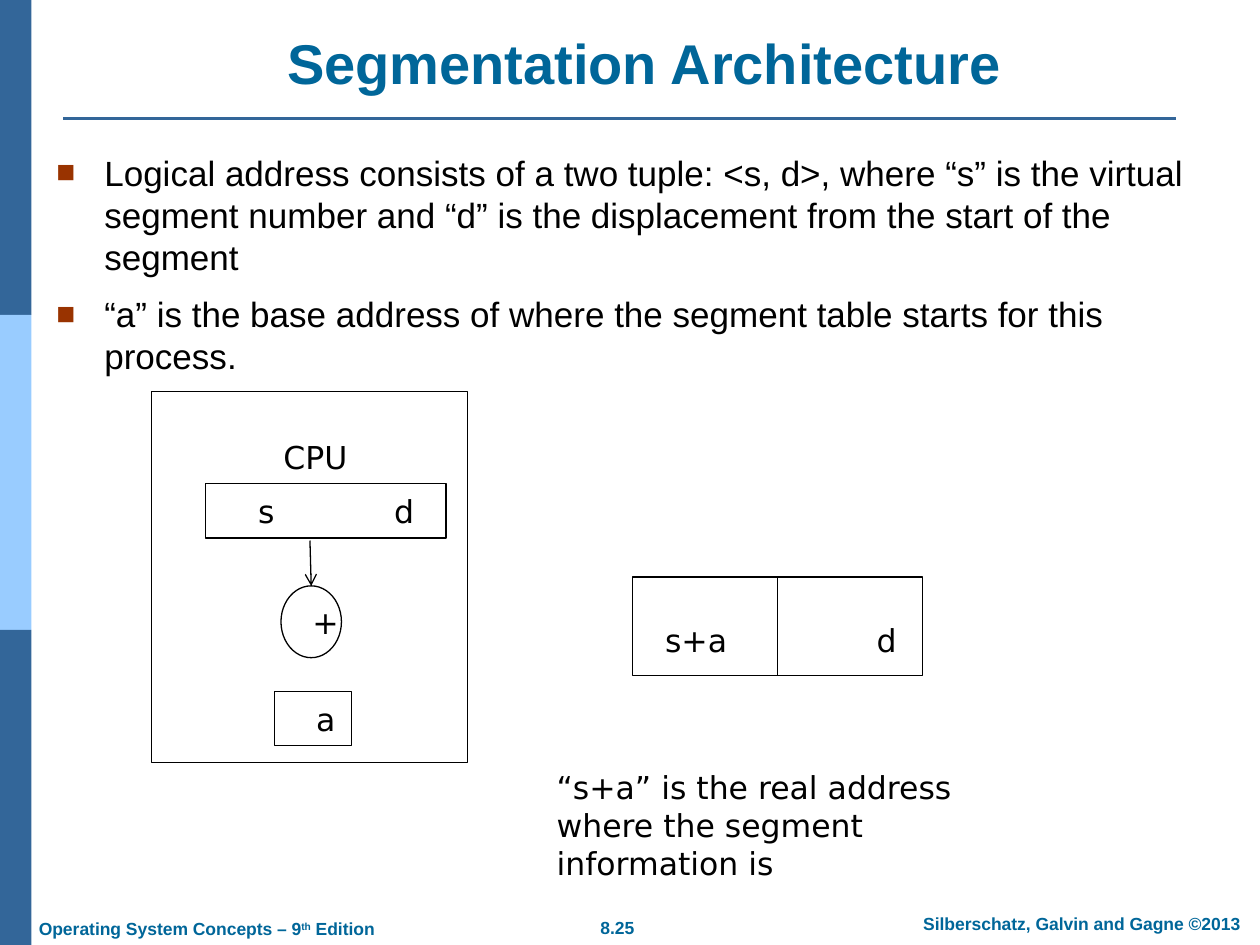
import pptx
import pptx.util
import pptx.dml.color
import pptx.enum.shapes
import pptx.enum.text
import pptx.oxml.ns
from dataclasses import dataclass
from lxml import etree
from pptx.util import Inches

SHAPE = pptx.enum.shapes.MSO_SHAPE
ALIGN = pptx.enum.text.PP_ALIGN
ANCHOR = pptx.enum.text.MSO_ANCHOR
qn = pptx.oxml.ns.qn


@dataclass(frozen=True)
class Theme:
    """Colours, fonts and type sizes of the slide."""
    heading: str = "006699"
    bar: str = "336699"
    bar_light: str = "99CCFF"
    bullet: str = "993300"
    ink: str = "000000"
    paper: str = "FFFFFF"
    sans: str = "Arial"
    diagram: str = "DejaVu Sans"
    title_size: int = 32
    body_size: int = 20
    diagram_size: int = 18
    footer_size: int = 10


T = Theme()


def rgb(color):
    """Turn a hex string into a colour."""
    return pptx.dml.color.RGBColor.from_string(color)


def add_run(p, text, size, font, color, bold=False):
    """Add one styled run to a paragraph."""
    r = p.add_run()
    r.text = text
    r.font.size = pptx.util.Pt(size)
    r.font.name = font
    r.font.bold = bold
    r.font.color.rgb = rgb(color)
    return r


def add_box(s, x, y, w, h, anchor=ANCHOR.TOP):
    """Add an empty text box and return its text frame."""
    tf = s.shapes.add_textbox(Inches(x), Inches(y), Inches(w), Inches(h)).text_frame
    tf.word_wrap = True
    tf.vertical_anchor = anchor
    return tf


def add_shape(s, kind, x, y, w, h, fill, line=None):
    """Add a preset shape with a plain fill and an optional thin outline."""
    sp = s.shapes.add_shape(kind, Inches(x), Inches(y), Inches(w), Inches(h))
    sp.shadow.inherit = False
    sp.fill.solid()
    sp.fill.fore_color.rgb = rgb(fill)
    if line:
        sp.line.color.rgb = rgb(line)
        sp.line.width = pptx.util.Pt(0.75)
    else:
        sp.line.fill.background()
    return sp


def add_node(s, kind, x, y, w, h, text="", indent=0, tabs=(), inset=0.1, top=0.05):
    """Add an outlined diagram node with left-aligned text."""
    sp = add_shape(s, kind, x, y, w, h, T.paper, T.ink)
    if not text:
        return
    tf = sp.text_frame
    tf.word_wrap = True
    tf.vertical_anchor = ANCHOR.MIDDLE
    tf.margin_left = tf.margin_right = Inches(inset)
    tf.margin_top = Inches(top)
    p = tf.paragraphs[0]
    p.alignment = ALIGN.LEFT
    pPr = p._p.get_or_add_pPr()
    pPr.set("marL", str(Inches(indent)))
    if tabs:
        tab_list = etree.SubElement(pPr, qn("a:tabLst"))
        for pos in tabs:
            etree.SubElement(tab_list, qn("a:tab"), pos=str(Inches(pos)), algn="l")
    add_run(p, text, T.diagram_size, T.diagram, T.ink)


def add_line(s, x1, y1, x2, y2, color, width, arrow=False):
    """Add a straight line, with an open arrowhead at its end if asked."""
    sp = s.shapes.add_connector(pptx.enum.shapes.MSO_CONNECTOR.STRAIGHT,
                                Inches(x1), Inches(y1), Inches(x2), Inches(y2))
    sp.line.color.rgb = rgb(color)
    sp.line.width = pptx.util.Pt(width)
    if arrow:
        etree.SubElement(sp.line._get_or_add_ln(), qn("a:tailEnd"), type="arrow")
    etree.SubElement(sp._element.spPr, qn("a:effectLst"))


def add_bullets(s, x, y, w, h, items):
    """Add a list with square bullets."""
    tf = add_box(s, x, y, w, h)
    for i, text in enumerate(items):
        p = tf.add_paragraph() if i else tf.paragraphs[0]
        if i:
            p.space_before = pptx.util.Pt(8.8)
        pPr = p._p.get_or_add_pPr()
        pPr.set("marL", str(Inches(0.38)))
        pPr.set("indent", str(Inches(-0.38)))
        etree.SubElement(etree.SubElement(pPr, qn("a:buClr")), qn("a:srgbClr"), val=T.bullet)
        etree.SubElement(pPr, qn("a:buSzPct"), val="90000")
        etree.SubElement(pPr, qn("a:buFont"), typeface=T.sans)
        etree.SubElement(pPr, qn("a:buChar"), char="■")
        add_run(p, text, T.body_size, T.sans, T.ink)


def add_label(s, x, y, w, h, text):
    """Add a diagram label."""
    add_run(add_box(s, x, y, w, h).paragraphs[0], text, T.diagram_size, T.diagram, T.ink)


def add_footer(s, x, y, w, parts, align=ALIGN.CENTER):
    """Add a footer from (text, superscript) parts."""
    p = add_box(s, x, y, w, 0.27).paragraphs[0]
    p.alignment = align
    for text, raised in parts:
        r = add_run(p, text, T.footer_size, T.sans, T.heading, True)
        if raised:
            r._r.get_or_add_rPr().set("baseline", "30000")


def add_frame(s):
    """Add the side bar, title, rule and footers."""
    for i, color in enumerate((T.bar, T.bar_light, T.bar)):
        add_shape(s, SHAPE.RECTANGLE, 0, 2.5 * i, 0.25, 2.5, color)
    add_line(s, 0.5, 0.94, 9.33, 0.94, T.bar, 1.5)
    p = add_box(s, 0.85, 0.18, 8.65, 0.63, ANCHOR.BOTTOM).paragraphs[0]
    p.alignment = ALIGN.CENTER
    add_run(p, "Segmentation Architecture ", T.title_size, T.sans, T.heading, True)
    add_footer(s, 4.41, 7.23, 0.98, [("8.25", False)])
    add_footer(s, 7.1, 7.2, 2.97, [("Silberschatz, Galvin and Gagne ©2013", False)])
    add_footer(s, 0.21, 7.24, 3.1, [("Operating System Concepts – 9", False), ("th", True),
                                    (" Edition", False)], ALIGN.LEFT)


def add_cpu(s):
    """Add the CPU diagram."""
    add_node(s, SHAPE.RECTANGLE, 1.2, 3.11, 2.51, 2.94)
    add_label(s, 2.15, 3.43, 0.99, 0.4, "CPU")
    add_node(s, SHAPE.RECTANGLE, 1.63, 3.84, 1.91, 0.43, "\ts\td", tabs=(0.32, 1.4))
    add_node(s, SHAPE.OVAL, 2.23, 4.65, 0.48, 0.57, "+", indent=0.18, inset=0)
    add_node(s, SHAPE.RECTANGLE, 2.18, 5.49, 0.61, 0.43, "a", indent=0.23)
    add_line(s, 2.46, 4.29, 2.47, 4.65, T.ink, 0.75, True)


def add_real_address(s):
    """Add the resulting address and its caption."""
    add_node(s, SHAPE.RECTANGLE, 5.02, 4.58, 2.3, 0.78, "\ts+a\td", tabs=(0.16, 1.84), top=0.26)
    add_line(s, 6.17, 4.58, 6.17, 5.36, T.ink, 0.75)
    add_label(s, 4.32, 6.05, 4.03, 0.7,
              "“s+a” is the real address where the segment information is")


def main():
    """Build the slide and save it."""
    prs = pptx.Presentation()
    prs.slide_width, prs.slide_height = Inches(10), Inches(7.5)
    s = prs.slides.add_slide(prs.slide_layouts[6])
    add_frame(s)
    add_bullets(s, 0.35, 1.15, 9.56, 5.91, [
        "Logical address consists of a two tuple: <s, d>, where “s” is the virtual segment "
        "number and “d” is the displacement from the start of the segment",
        "“a” is the base address of where the segment table starts for this process."])
    add_cpu(s)
    add_real_address(s)
    prs.save("out.pptx")


if __name__ == "__main__":
    main()
